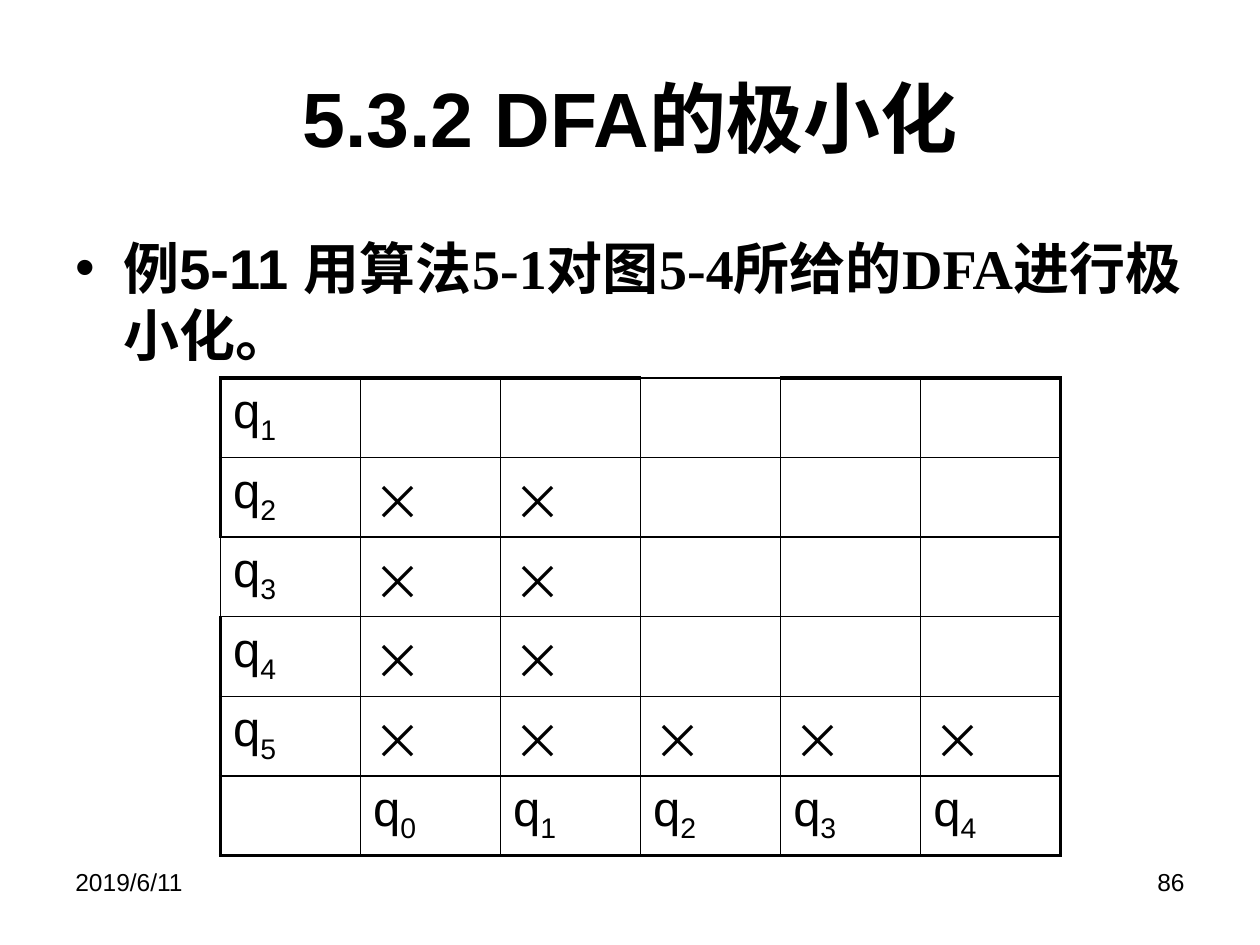
from lxml.etree import SubElement
from pptx import Presentation
from pptx.dml.color import RGBColor
from pptx.enum.text import MSO_ANCHOR, PP_ALIGN
from pptx.oxml import parse_xml
from pptx.oxml.ns import nsdecls, qn
from pptx.util import Inches, Pt

LATIN, CHINESE, SERIF = "Arial", "Noto Sans CJK SC", "Times New Roman"
INK = "000000"
THIN, THICK = 1, 2.25
GRID_ROWS = [
    ["q1", "", "", "", "", ""],
    ["q2", "×", "×", "", "", ""],
    ["q3", "×", "×", "", "", ""],
    ["q4", "×", "×", "", "", ""],
    ["q5", "×", "×", "×", "×", "×"],
    ["", "q0", "q1", "q2", "q3", "q4"],
]
THIN_EDGES = {(0, 3, "T"), (2, 0, "L")}


def color(value):
    return RGBColor.from_string(value)


def add_run(paragraph, text, size, font=LATIN, bold=False, subscript=False):
    run = paragraph.add_run()
    run.text = text
    run.font.size = Pt(size)
    run.font.bold = bold
    run.font.color.rgb = color(INK)
    run.font.name = font
    properties = run._r.get_or_add_rPr()
    SubElement(properties, qn("a:ea")).set("typeface", CHINESE)
    if subscript:
        properties.set("baseline", "-25000")


def add_text(slide, left, top, width, height, align=PP_ALIGN.LEFT, anchor=MSO_ANCHOR.TOP):
    frame = slide.shapes.add_textbox(
        Inches(left), Inches(top), Inches(width), Inches(height)
    ).text_frame
    frame.word_wrap = True
    frame.vertical_anchor = anchor
    frame.paragraphs[0].alignment = align
    return frame.paragraphs[0]


def add_bullet(paragraph, indent):
    properties = paragraph._p.get_or_add_pPr()
    properties.set("marL", str(Inches(indent)))
    properties.set("indent", str(-Inches(indent)))
    SubElement(properties, qn("a:buFont")).set("typeface", LATIN)
    SubElement(properties, qn("a:buChar")).set("char", "•")


def set_borders(cell, widths):
    properties = cell._tc.get_or_add_tcPr()
    for position, side in enumerate("LRTB"):
        line = parse_xml(
            f'<a:ln{side} {nsdecls("a")} w="{Pt(widths[side])}">'
            f'<a:solidFill><a:srgbClr val="{INK}"/></a:solidFill></a:ln{side}>'
        )
        properties.insert(position, line)


def fill_cell(cell, label):
    paragraph = cell.text_frame.paragraphs[0]
    if label.startswith("q"):
        add_run(paragraph, "q", 28)
        add_run(paragraph, label[1:], 28, subscript=True)
    elif label:
        add_run(paragraph, label, 28, CHINESE)


def add_state_table(slide):
    count = len(GRID_ROWS)
    table = slide.shapes.add_table(
        count, count, Inches(1.75), Inches(3), Inches(6.67), Inches(3.78)
    ).table
    table.first_row = False
    table.horz_banding = False
    last = count - 1
    for row, labels in enumerate(GRID_ROWS):
        for column, label in enumerate(labels):
            cell = table.cell(row, column)
            cell.fill.background()
            fill_cell(cell, label)
            outer = {"L": column == 0, "R": column == last, "T": row == 0, "B": row == last}
            set_borders(cell, {
                side: THICK if edge and (row, column, side) not in THIN_EDGES else THIN
                for side, edge in outer.items()
            })


def add_example(slide):
    example = add_text(slide, 0.5, 1.81, 9, 1.19)
    add_bullet(example, 0.38)
    example.line_spacing = Pt(38)
    for text, font in [
        ("例5-11 ", LATIN), ("用算法", CHINESE), ("5-1", SERIF), ("对图", CHINESE),
        ("5-4", SERIF), ("所给的", CHINESE), ("DFA", SERIF), ("进行极小化。", CHINESE),
    ]:
        add_run(example, text, 32, font, bold=True)


def main():
    presentation = Presentation()
    presentation.slide_width = Inches(10)
    presentation.slide_height = Inches(7.5)
    slide = presentation.slides.add_slide(presentation.slide_layouts[6])
    title = add_text(slide, 0.5, 0.3, 9, 1.25, PP_ALIGN.CENTER, MSO_ANCHOR.MIDDLE)
    add_run(title, "5.3.2 DFA的极小化", 44, bold=True)
    add_example(slide)
    add_state_table(slide)
    add_run(add_text(slide, 0.5, 6.83, 2.33, 0.52), "2019/6/11", 14)
    add_run(add_text(slide, 7.17, 6.83, 2.33, 0.52, PP_ALIGN.RIGHT), "86", 14)
    presentation.save("out.pptx")


if __name__ == "__main__":
    main()
